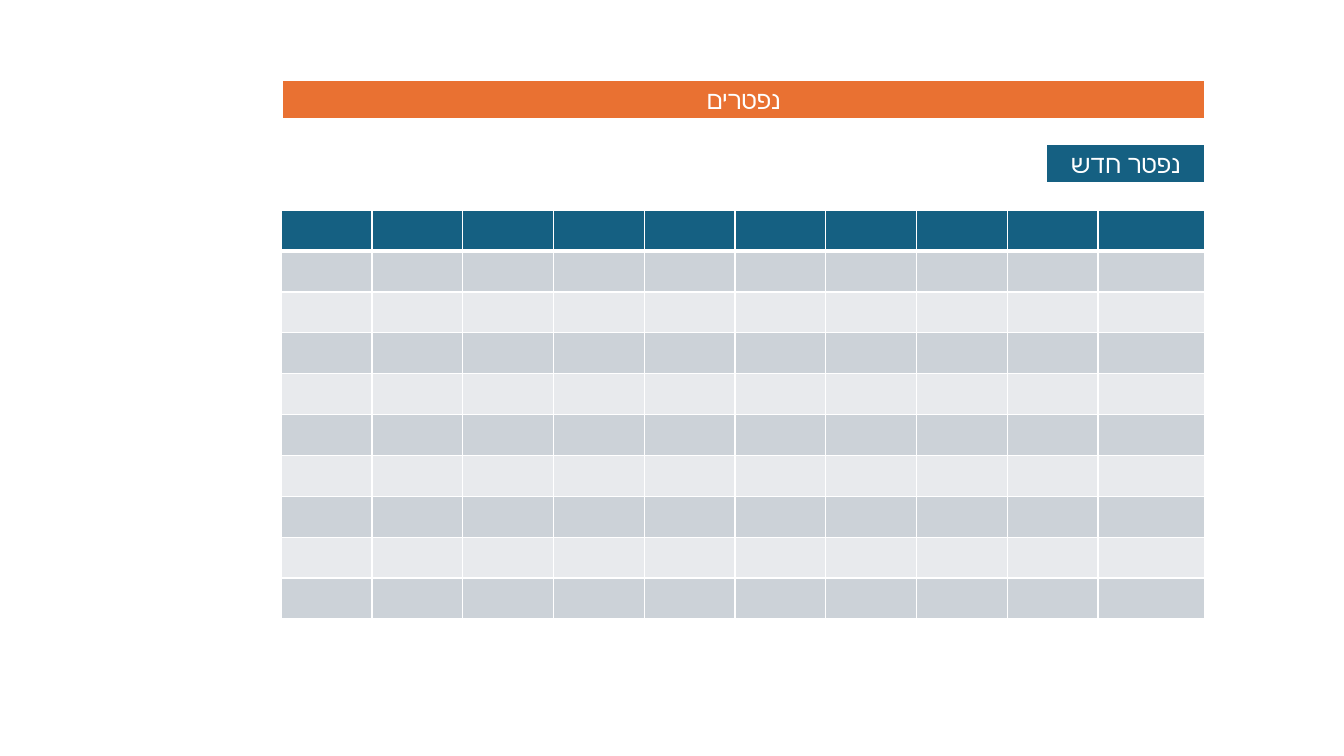
from lxml import etree
from pptx import Presentation
from pptx.dml.color import RGBColor
from pptx.enum import shapes, text
from pptx.oxml import ns
from pptx.util import Inches, Pt

FONT = "Lato"
WHITE, ORANGE, TEAL = "FFFFFF", "E97132", "156082"
BANDS = ("CCD2D8", "E8EAED")
COLUMNS, BODY_ROWS = 10, 9
COLUMN_WIDTH, HEADER_HEIGHT = 0.9, 0.4


def color(value):
    return RGBColor.from_string(value)


def add_banner(slide, caption, fill, left, top, width, height):
    banner = slide.shapes.add_shape(
        shapes.MSO_SHAPE.RECTANGLE,
        Inches(left), Inches(top), Inches(width), Inches(height))
    banner.shadow.inherit = False
    banner.fill.solid()
    banner.fill.fore_color.rgb = color(fill)
    banner.line.color.rgb = color(WHITE)
    banner.line.width = Pt(2)
    frame = banner.text_frame
    frame.text = caption
    frame.word_wrap = True
    frame.auto_size = text.MSO_AUTO_SIZE.SHAPE_TO_FIT_TEXT
    frame.vertical_anchor = text.MSO_ANCHOR.MIDDLE
    paragraph = frame.paragraphs[0]
    paragraph.alignment = text.PP_ALIGN.CENTER
    paragraph._p.get_or_add_pPr().set("rtl", "1")
    font = paragraph.runs[0].font
    font.name = FONT
    font.size = Pt(18)
    font.color.rgb = color(WHITE)
    complex_script = etree.SubElement(font._element, ns.qn("a:cs"))
    complex_script.set("typeface", FONT)


def set_borders(cell, widths):
    """Draw white borders; widths maps each side (L, R, T, B) to points."""
    properties = cell._tc.get_or_add_tcPr()
    for index, (side, width) in enumerate(widths.items()):
        border = etree.Element(ns.qn(f"a:ln{side}"), w=str(Pt(width)))
        fill = etree.SubElement(border, ns.qn("a:solidFill"))
        etree.SubElement(fill, ns.qn("a:srgbClr"), val=WHITE)
        properties.insert(index, border)


def add_records_table(slide, left, top, width, height):
    table = slide.shapes.add_table(
        BODY_ROWS + 1, COLUMNS,
        Inches(left), Inches(top), Inches(width), Inches(height)).table
    for column in table.columns:
        column.width = Inches(COLUMN_WIDTH)
    table.columns[COLUMNS - 1].width = Inches(width - COLUMN_WIDTH * (COLUMNS - 1))
    for index, row in enumerate(table.rows):
        is_header = index == 0
        row.height = Inches(
            HEADER_HEIGHT if is_header else (height - HEADER_HEIGHT) / BODY_ROWS)
        for cell in row.cells:
            cell.fill.solid()
            cell.fill.fore_color.rgb = color(
                TEAL if is_header else BANDS[(index - 1) % 2])
            set_borders(cell, {"L": 1, "R": 1,
                               "T": 3 if index == 1 else 1,
                               "B": 3 if is_header else 1})


def main():
    deck = Presentation()
    deck.slide_width, deck.slide_height = Inches(13.33), Inches(7.5)
    slide = deck.slides.add_slide(deck.slide_layouts[6])
    add_banner(slide, "נפטרים", ORANGE, 2.79, 0.79, 9.17, 0.4)
    add_records_table(slide, 2.79, 2.09, 9.16, 4.05)
    add_banner(slide, "נפטר חדש", TEAL, 10.37, 1.42, 1.59, 0.4)
    deck.save("out.pptx")


if __name__ == "__main__":
    main()
